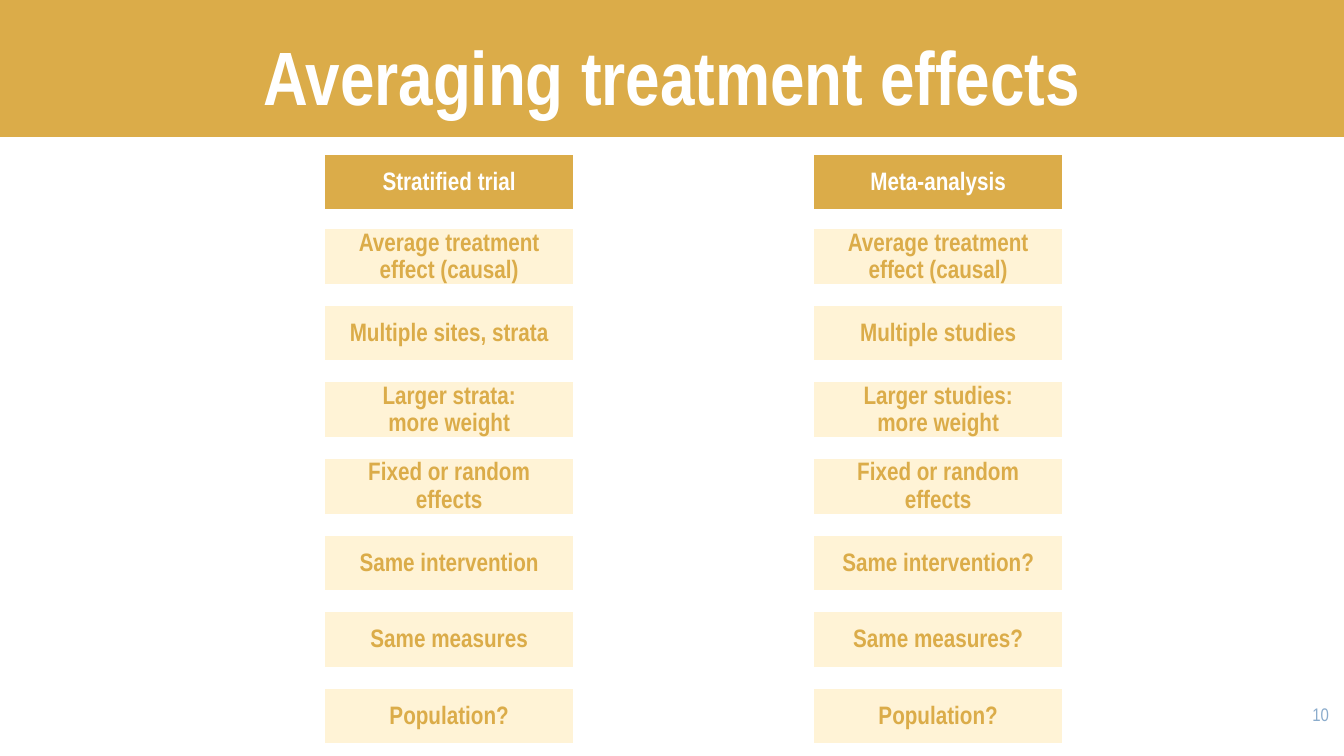
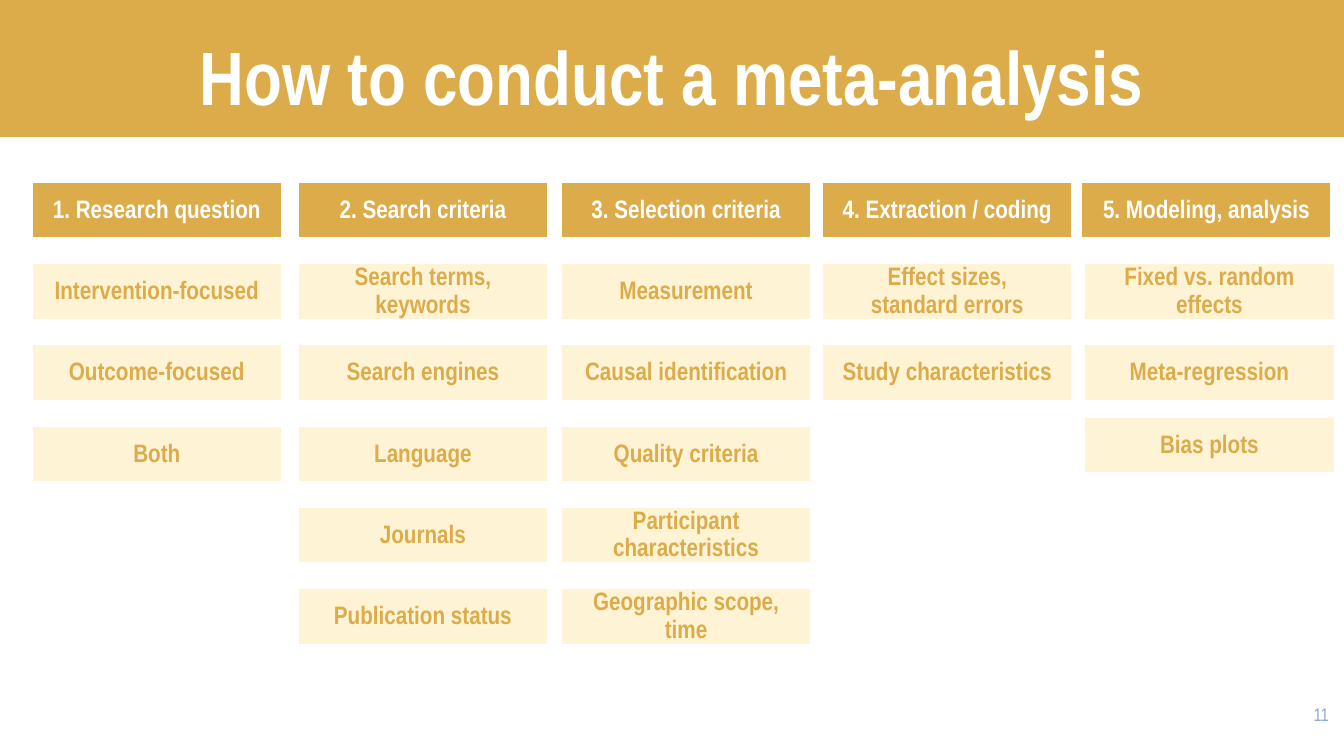
from pptx import Presentation
from pptx.dml.color import RGBColor
from pptx.enum.shapes import MSO_SHAPE
from pptx.enum.text import MSO_ANCHOR, MSO_AUTO_SIZE, PP_ALIGN
from pptx.util import Inches, Pt

RECTANGLE = MSO_SHAPE.RECTANGLE
MIDDLE, BOTTOM = MSO_ANCHOR.MIDDLE, MSO_ANCHOR.BOTTOM
CENTER, RIGHT = PP_ALIGN.CENTER, PP_ALIGN.RIGHT
NO_AUTOFIT = MSO_AUTO_SIZE.NONE

TITLE_ONLY = 5
SLIDE_WIDTH, SLIDE_HEIGHT = 13.33, 7.5
BAND_WIDTH, BAND_HEIGHT = 13.38, 1.36
BOX_WIDTH, BOX_HEIGHT, BOX_MARGIN = 2.49, 0.57, 0.12
GOLD, CREAM, WHITE, PALE_BLUE = "DBAC49", "FFF3D6", "FFFFFF", "8BACCC"
FONT = "Arial Narrow"


def color(hex_string):
    return RGBColor.from_string(hex_string)


class Deck:
    """Holds the presentation, its style and the current slide."""

    def __init__(self):
        self.presentation = Presentation()
        self.presentation.slide_width = Inches(SLIDE_WIDTH)
        self.presentation.slide_height = Inches(SLIDE_HEIGHT)
        self.layout = self.presentation.slide_layouts[TITLE_ONLY]
        self.slide = None

    def add_slide(self, title, number):
        first = self.slide is None
        self.slide = self.presentation.slides.add_slide(self.layout)
        if first:
            self.add_layout_band()
        self.set_title(title)
        self.add_number(number)

    def add_layout_band(self):
        """Moves the title band into the layout, behind its placeholders."""
        band = self.add_rectangle(0, 0, BAND_WIDTH, BAND_HEIGHT, GOLD)
        band.line.fill.background()
        self.layout.shapes.element.insert(2, band.element)

    def set_title(self, text):
        title = self.slide.shapes.title
        title.left, title.top = Inches(0), Inches(-0.11)
        title.width, title.height = Inches(SLIDE_WIDTH), Inches(BAND_HEIGHT)
        self.add_text(title.text_frame, text, 54, WHITE, CENTER, BOTTOM, bold=True)

    def add_number(self, number):
        box = self.slide.shapes.add_textbox(
            Inches(12.48), Inches(6.93), Inches(0.8), Inches(0.57))
        self.add_text(box.text_frame, str(number), 13, PALE_BLUE, RIGHT)

    def add_rectangle(self, left, top, width, height, fill):
        shape = self.slide.shapes.add_shape(
            RECTANGLE, Inches(left), Inches(top), Inches(width), Inches(height))
        shape.shadow.inherit = False
        shape.fill.solid()
        shape.fill.fore_color.rgb = color(fill)
        return shape

    def add_box(self, left, top, text, fill, text_color):
        box = self.add_rectangle(left, top, BOX_WIDTH, BOX_HEIGHT, fill)
        box.line.color.rgb = color(WHITE)
        box.line.width = Pt(2)
        frame = box.text_frame
        frame.margin_left = frame.margin_right = Inches(BOX_MARGIN)
        frame.margin_top = frame.margin_bottom = Inches(BOX_MARGIN)
        self.add_text(frame, text, 18, text_color, CENTER, MIDDLE, bold=True)
        frame.paragraphs[0].line_spacing = 0.9

    def add_heading(self, left, top, text):
        self.add_box(left, top, text, GOLD, WHITE)

    def add_items(self, left, tops, items):
        for top, item in zip(tops, items):
            self.add_box(left, top, item, CREAM, GOLD)

    def add_text(self, frame, text, size, text_color, alignment, anchor=None, bold=False):
        frame.word_wrap = True
        frame.auto_size = NO_AUTOFIT
        if anchor is not None:
            frame.vertical_anchor = anchor
        paragraph = frame.paragraphs[0]
        paragraph.alignment = alignment
        for index, line in enumerate(text.split("\n")):
            if index:
                paragraph.add_line_break()
            run = paragraph.add_run()
            run.text = line
            run.font.name = FONT
            run.font.size = Pt(size)
            run.font.bold = bold
            run.font.color.rgb = color(text_color)


def row_tops(first, pitch, count):
    return [first + pitch * row for row in range(count)]


def add_averaging_slide(deck):
    deck.add_slide("Averaging treatment effects", 10)
    tops = row_tops(2.26, 0.76, 7)
    columns = [
        (3.21, "Stratified trial", [
            "Average treatment effect (causal)", "Multiple sites, strata",
            "Larger strata:\nmore weight", "Fixed or random effects",
            "Same intervention", "Same measures", "Population?"]),
        (8.06, "Meta-analysis", [
            "Average treatment effect (causal)", "Multiple studies",
            "Larger studies:\nmore weight", "Fixed or random effects",
            "Same intervention?", "Same measures?", "Population?"]),
    ]
    for left, heading, items in columns:
        deck.add_heading(left, 1.52, heading)
        deck.add_items(left, tops, items)


def add_conduct_slide(deck):
    deck.add_slide("How to conduct a meta-analysis", 11)
    heading_top, *tops = row_tops(1.8, (5.83 - 1.8) / 5, 6)
    analysis_tops = [*tops[:2], 4.13]
    columns = [
        (0.31, 0.31, "1. Research question", tops,
         ["Intervention-focused", "Outcome-focused", "Both"]),
        (2.95, 2.95, "2. Search criteria", tops,
         ["Search terms, keywords", "Search engines", "Language",
          "Journals", "Publication status"]),
        (5.56, 5.56, "3. Selection criteria", tops,
         ["Measurement", "Causal identification", "Quality criteria",
          "Participant characteristics", "Geographic scope, time"]),
        (8.15, 8.15, "4. Extraction / coding", tops,
         ["Effect sizes,\nstandard errors", "Study characteristics"]),
        (10.72, 10.75, "5. Modeling, analysis", analysis_tops,
         ["Fixed vs. random effects", "Meta-regression", "Bias plots"]),
    ]
    for heading_left, item_left, heading, item_tops, items in columns:
        deck.add_heading(heading_left, heading_top, heading)
        deck.add_items(item_left, item_tops, items)


def main():
    deck = Deck()
    add_averaging_slide(deck)
    add_conduct_slide(deck)
    deck.presentation.save("out.pptx")


if __name__ == "__main__":
    main()
